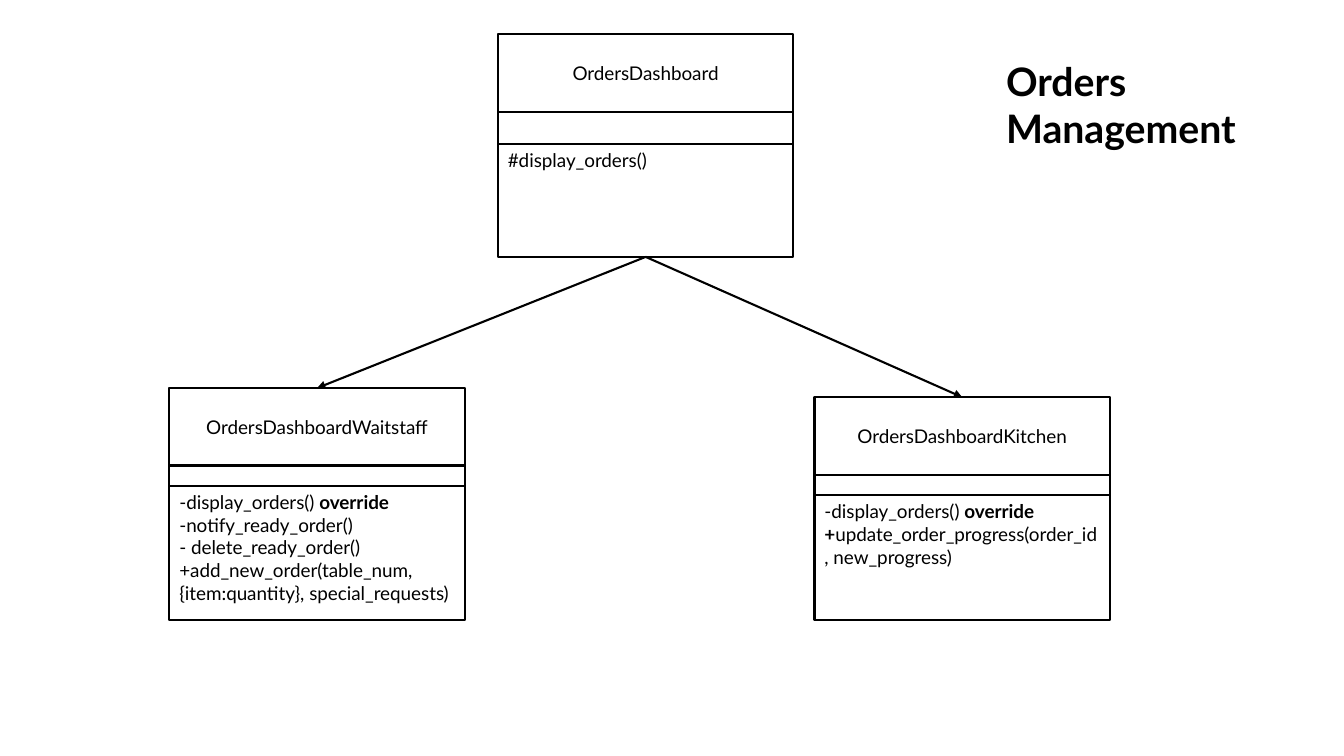
from lxml import etree
from pptx import Presentation
from pptx import util as u
from pptx.dml.color import RGBColor
from pptx.enum import shapes, text
from pptx.oxml.ns import qn

BLACK = "000000"
BOX_WIDTH = 211
NAME_HEIGHT = 55.4


def color(value):
    return RGBColor.from_string(value)


def set_font(font, size, bold=None):
    font.name, font.size, font.bold = "Lato", u.Pt(size), bold
    font.color.rgb = color(BLACK)


deck = Presentation()
deck.slide_width, deck.slide_height = u.Pt(960), u.Pt(540)
page = deck.slides.add_slide(deck.slide_layouts[5])

# Title
title = page.shapes.title
title.left, title.top, title.width, title.height = (
    u.Pt(711.4), u.Pt(37.4), u.Pt(184.3), u.Pt(75))
title.text_frame.vertical_anchor = text.MSO_ANCHOR.TOP
title.text_frame.auto_size = text.MSO_AUTO_SIZE.NONE
title.text_frame.text = "Orders Management"
para = title.text_frame.paragraphs[0]
para.alignment = text.PP_ALIGN.LEFT
set_font(para.font, 28, True)

# Classes: name, left, top, attribute height, method height, methods as (text, bold) runs
classes = [
    ("OrdersDashboard", 355.7, 24.5, 23, 80.6, [[("#display_orders()", False)]]),
    ("OrdersDashboardKitchen", 581.8, 283.7, 14.4, 89.3, [
        [("-display_orders() ", False), ("override", True)],
        [("+", True), ("update_order_progress(order_id, new_progress)", False)],
    ]),
    ("OrdersDashboardWaitstaff", 121, 277.2, 14.4, 95.8, [
        [("-display_orders() ", False), ("override", True)],
        [("-notify_ready_order()", False)],
        [("- delete_ready_order()", False)],
        [("+add_new_order(table_num, {item:quantity}, special_requests)", False)],
    ]),
]

# Class boxes, each a stack of name, attributes and methods
stacks = []
for name, left, top, attribute_height, method_height, methods in classes:
    group = page.shapes.add_group_shape()
    parts = [
        (NAME_HEIGHT, [[(name, False)]], text.MSO_ANCHOR.MIDDLE, text.PP_ALIGN.CENTER),
        (attribute_height, [], text.MSO_ANCHOR.MIDDLE, text.PP_ALIGN.CENTER),
        (method_height, methods, text.MSO_ANCHOR.TOP, text.PP_ALIGN.LEFT),
    ]
    stack = []
    for height, lines, anchor, alignment in parts:
        box = group.shapes.add_shape(
            shapes.MSO_SHAPE.RECTANGLE, u.Pt(left), u.Pt(top), u.Pt(BOX_WIDTH), u.Pt(height))
        box.shadow.inherit = False
        box.fill.background()
        box.line.color.rgb = color(BLACK)
        box.line.width = u.Pt(1.5)
        frame = box.text_frame
        frame.word_wrap = True
        frame.vertical_anchor = anchor
        for index, line in enumerate(lines):
            para = frame.add_paragraph() if index else frame.paragraphs[0]
            para.alignment = alignment
            for words, bold in line:
                span = para.add_run()
                span.text = words
                set_font(span.font, 13.5, bold)
        stack.append(box)
        top += height
    stacks.append(stack)

# Arrows from the base class to its subclasses
base, *subclasses = stacks
for subclass in subclasses:
    arrow = page.shapes.add_connector(shapes.MSO_CONNECTOR.STRAIGHT, 0, 0, 0, 0)
    arrow.begin_connect(base[-1], 2)
    arrow.end_connect(subclass[0], 0)
    arrow.line.color.rgb = color(BLACK)
    arrow.line.width = u.Pt(1.5)
    etree.SubElement(arrow.line._get_or_add_ln(), qn("a:tailEnd"), type="triangle")
    etree.SubElement(arrow._element.spPr, qn("a:effectLst"))

deck.save("out.pptx")
